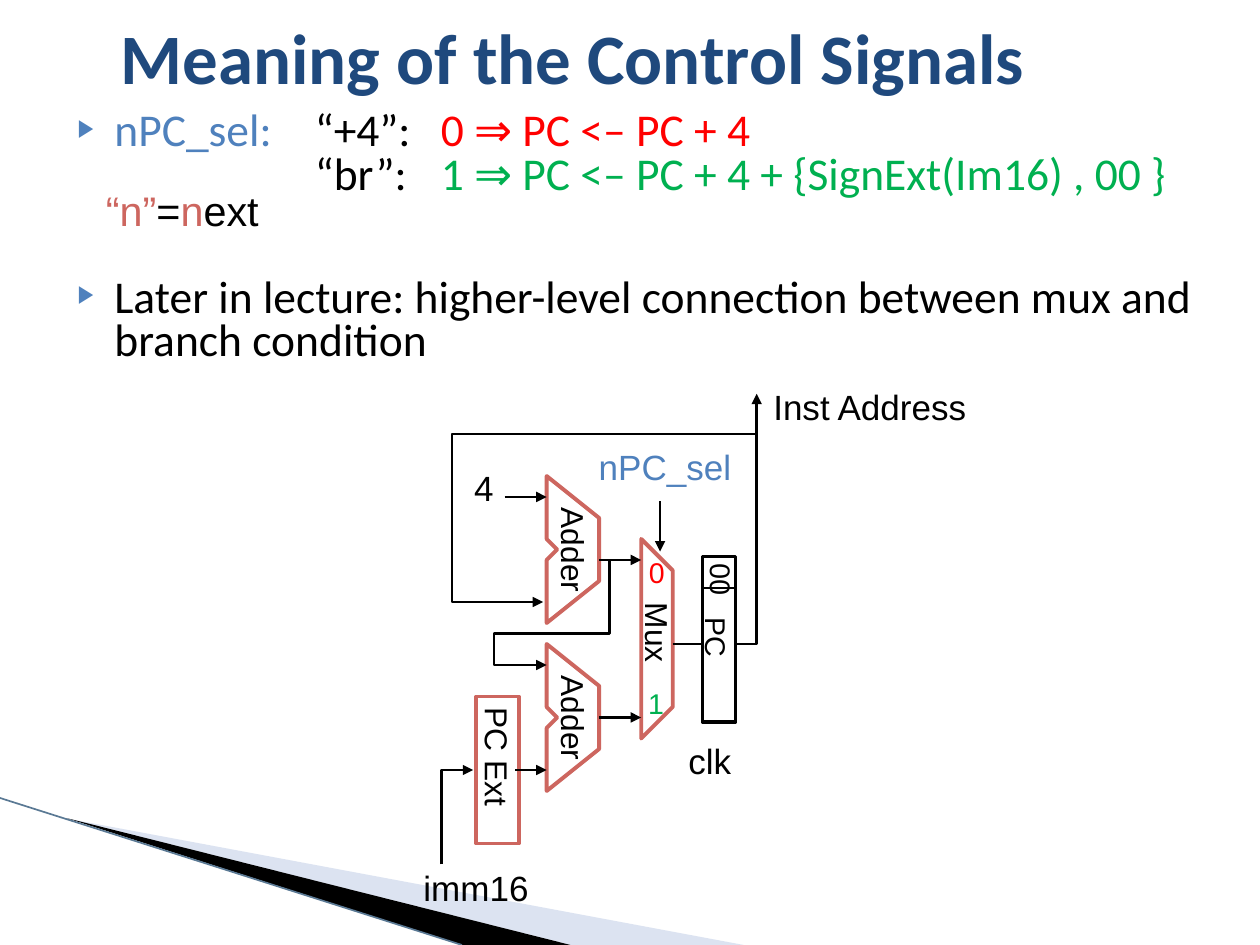
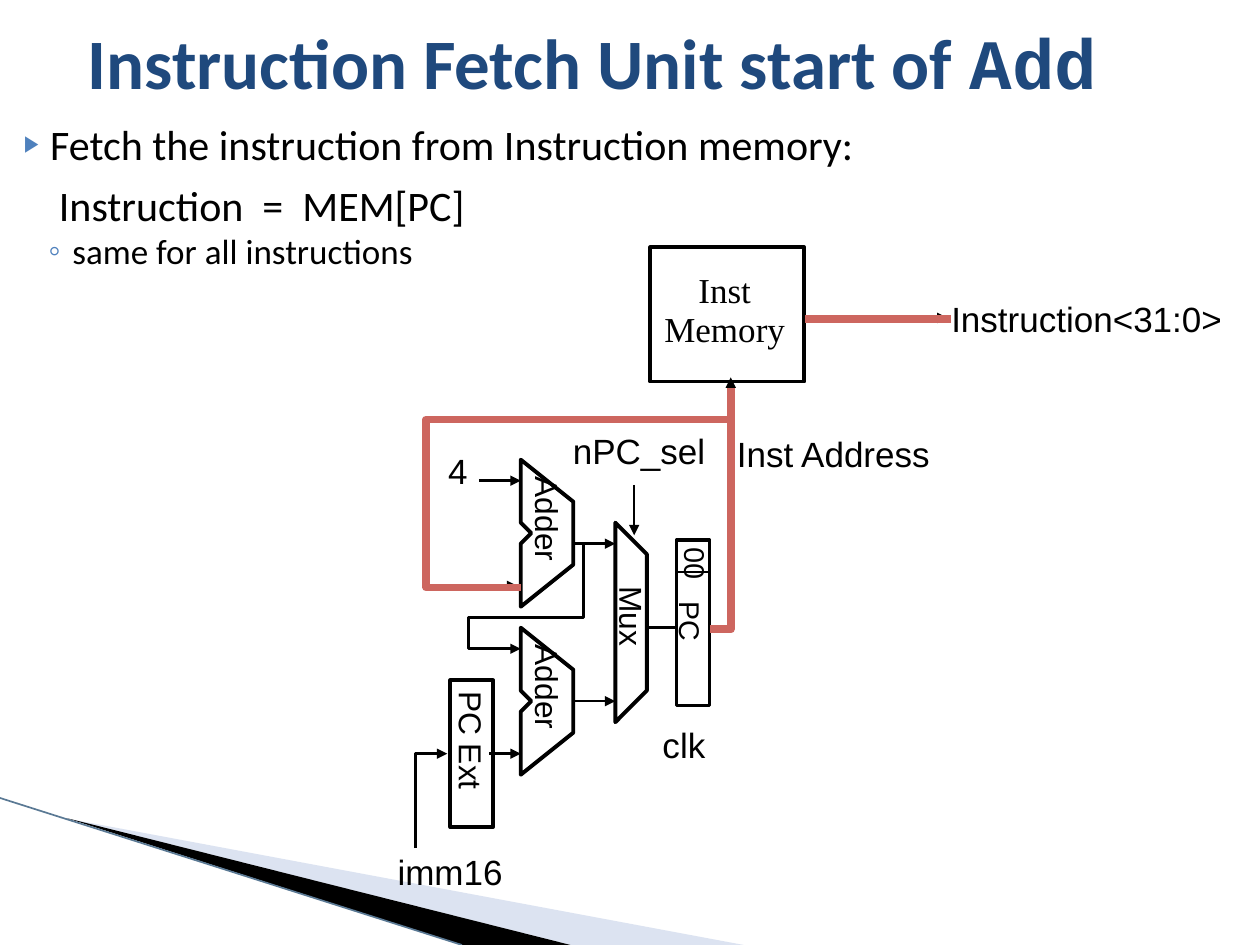
from lxml import etree
from pptx import Presentation
from pptx.dml.color import RGBColor
from pptx.enum import shapes, text
from pptx.oxml import ns
from pptx.util import Pt

BLACK = RGBColor(0x00, 0x00, 0x00)
NAVY = RGBColor(0x1F, 0x49, 0x7D)
BLUE = RGBColor(0x4F, 0x81, 0xBD)
CORAL = RGBColor(0xCD, 0x66, 0x5F)
RED = RGBColor(0xFF, 0x00, 0x00)
GREEN = RGBColor(0x00, 0xB0, 0x50)
PALE_BLUE = RGBColor(0xDC, 0xE3, 0xF1)
SLATE = RGBColor(0x5A, 0x79, 0x94)

LINE_BREAK = None
PAGE = (0, 0)
TAB_STOP = Pt(125.3)


def add_path(slide, origin, points, color=BLACK, width=1.5, arrow=False, closed=False, fill=None):
    """Draw a connector for two points, otherwise an open or closed outline."""
    points = [(Pt(origin[0] + x), Pt(origin[1] + y)) for x, y in points]
    if len(points) == 2:
        shape = slide.shapes.add_connector(shapes.MSO_CONNECTOR.STRAIGHT, *points[0], *points[1])
    else:
        builder = slide.shapes.build_freeform(*points[0])
        builder.add_line_segments(points[1:], close=closed)
        shape = builder.convert_to_shape()
        shape.shadow.inherit = False
        if fill is None:
            shape.fill.background()
        else:
            shape.fill.solid()
            shape.fill.fore_color.rgb = fill
    if color is None:
        shape.line.fill.background()
    else:
        shape.line.color.rgb = color
        shape.line.width = Pt(width)
    properties = shape._element.spPr
    if arrow:
        etree.SubElement(properties.find(ns.qn("a:ln")), ns.qn("a:tailEnd"), type="triangle")
    if len(points) == 2:
        etree.SubElement(properties, ns.qn("a:effectLst"))


def add_label(slide, origin, box, words, size=20, color=BLACK, rotation=0, font="Arial", inset=3):
    """Add unwrapped text; box is left, top, width, height from the origin."""
    left, top, width, height = box
    label = slide.shapes.add_textbox(
        Pt(origin[0] + left), Pt(origin[1] + top), Pt(width), Pt(height))
    label.rotation = rotation
    frame = label.text_frame
    frame.word_wrap = False
    frame.auto_size = text.MSO_AUTO_SIZE.SHAPE_TO_FIT_TEXT
    frame.margin_left = frame.margin_top = frame.margin_bottom = Pt(inset)
    frame.margin_right = 0
    frame.text = words
    for paragraph in frame.paragraphs:
        paragraph.line_spacing = 0.93
        paragraph.font.name = font
        paragraph.font.size = Pt(size)
        paragraph.font.color.rgb = color
    return frame


# Each body paragraph: runs, size, left margin, first-line indent,
# line spacing, space before, bullet, bullet size in percent
SLIDES = [
    {
        "title": [("Meaning of the Control Signals", "Calibri")],
        "title_box": (62, 3.6, 596, 57),
        "body_box": (28.8, 60.5, 678, 196),
        "body": [
            ([("nPC_sel: \t", BLUE), ("“+4”: \t", BLACK), ("0 ⇒ PC <– PC + 4 ", RED), LINE_BREAK,
              ("\t\t“br”: \t", BLACK), ("1 ⇒ PC <– PC + 4 + {SignExt(Im16) , 00 }", GREEN)],
             26, 29.5, -21, 0.8, 10, "▶", 54),
            ([("Later in lecture: higher-level connection between mux and branch condition", BLACK)],
             26, 29.5, -21, 0.8, 45, "▶", 54),
        ],
        "origin": (312.4, 272),
        "unit_color": CORAL,
        "select_color": BLUE,
        "adder_label_top": 29.5,
        "address_label": (126, -53, 118, 29.5),
    },
    {
        "title": [("Instruction Fetch Unit start of ", "Calibri"), ("Add", "Courier New")],
        "title_box": (43, 5, 672, 60.5),
        "body_box": (0, 64, 655, 122),
        "body": [
            ([("Fetch the instruction from Instruction memory:", BLACK)],
             24, 21.6, -15, 1.0, 6.3, "▶", 54),
            ([("Instruction  =  MEM[PC]", BLACK)], 24, 26.6, 0, 1.0, 6.3, None, 100),
            ([("same for all instructions", BLACK)], 20, 34.3, -13.7, 0.75, 5.5, "◦", 100),
        ],
        "origin": (297.6, 262.7),
        "unit_color": BLACK,
        "select_color": BLACK,
        "adder_label_top": 21,
        "address_label": (120, -17, 118, 29.5),
    },
]

# Datapath geometry, measured from the top left corner of the upper adder
ADDER_STEP = 96
ADDER = [(0, 0), (0, 36), (6, 42), (0, 48), (0, 84), (30, 60), (30, 24)]
MUX = [(54, 36), (54, 150), (72, 132), (72, 54)]
WIRES = [
    [(108, 96), (120, 96), (120, -47)],
    [(120, -24), (-54, -24), (-54, 72), (-2, 72)],
    [(-24, 12), (0, 12)],
    [(30, 48), (54, 48)],
    [(36, 48), (36, 90), (-30, 90), (-30, 108), (0, 108)],
    [(-18, 168), (0, 168)],
    [(-60, 222), (-60, 168), (-42, 168)],
    [(30, 138), (54, 138)],
]
LABELS = [
    ((-73.4, 222.5, 66, 28), "imm16", 20, 0),
    ((78, 150, 30, 28), "clk", 20, 0),
    ((82, 80, 28, 24), "PC", 16.3, 90),
    ((87, 47.5, 24, 24), "00", 16.3, 270),
    ((-44.5, -6.5, 16.5, 28), "4", 20, 0),
    ((-60.5, 147.5, 62.6, 26), "PC Ext", 18.1, 90),
    ((42.5, 76.5, 40, 26), "Mux", 18.1, 90),
]

presentation = Presentation()
presentation.slide_width, presentation.slide_height = Pt(720), Pt(540)
pages = []

for content in SLIDES:
    slide = presentation.slides.add_slide(presentation.slide_layouts[6])
    pages.append(slide)
    origin = content["origin"]

    # Corner band
    add_path(slide, PAGE, [(39.5, 468), (425, 540), (326, 540)], None, closed=True, fill=PALE_BLUE)
    add_path(slide, PAGE, [(38, 467.5), (326, 540), (264, 540)], None, closed=True, fill=BLACK)
    add_path(slide, PAGE, [(0, 456), (264, 540)], SLATE, 0.95)

    # Title
    title = slide.shapes.add_textbox(*map(Pt, content["title_box"])).text_frame
    title.word_wrap = True
    title.vertical_anchor = text.MSO_ANCHOR.MIDDLE
    paragraph = title.paragraphs[0]
    paragraph.font.size = Pt(40.5)
    paragraph.font.bold = True
    paragraph.font.color.rgb = NAVY
    for words, font in content["title"]:
        run = paragraph.add_run()
        run.text = words
        run.font.name = font

    # Body
    body = slide.shapes.add_textbox(*map(Pt, content["body_box"])).text_frame
    body.word_wrap = True
    for index, (runs, size, margin, indent, spacing, before, bullet, percent) in enumerate(content["body"]):
        paragraph = body.add_paragraph() if index else body.paragraphs[0]
        paragraph.font.name = "Calibri"
        paragraph.font.size = Pt(size)
        paragraph.line_spacing = spacing
        paragraph.space_before = Pt(before)
        for part in runs:
            if part is LINE_BREAK:
                paragraph.add_line_break()
                continue
            run = paragraph.add_run()
            run.text, run.font.color.rgb = part
        properties = paragraph._p.get_or_add_pPr()
        properties.set("marL", str(Pt(margin)))
        properties.set("indent", str(Pt(indent)))
        if bullet:
            bullet_xml = etree.fromstring(
                f'<a:pPr xmlns:a="{ns.nsuri("a")}"><a:buClr><a:srgbClr val="{BLUE}"/></a:buClr>'
                f'<a:buSzPct val="{percent * 1000}"/><a:buFont typeface="Arial"/><a:buChar char="{bullet}"/>'
                f'<a:tabLst><a:tab pos="{TAB_STOP}" algn="l"/></a:tabLst></a:pPr>')
            default_run = properties.find(ns.qn("a:defRPr"))
            for element in list(bullet_xml):
                default_run.addprevious(element)

    # Registers and extender
    boxes = [
        ((89, 46, 19, 94.5), BLACK, 2),
        ((89, 46, 19, 18), BLACK, 1),
        ((-40.3, 126, 24.5, 84), content["unit_color"], 2),
    ]
    if content is SLIDES[1]:
        boxes.append(((74, -121.5, 88, 77), BLACK, 2))
    for (left, top, width, height), color, weight in boxes:
        box = slide.shapes.add_shape(
            shapes.MSO_SHAPE.RECTANGLE, Pt(origin[0] + left), Pt(origin[1] + top), Pt(width), Pt(height))
        box.shadow.inherit = False
        box.fill.background()
        box.line.color.rgb = color
        box.line.width = Pt(weight)

    # Adders and multiplexer
    for drop in (0, ADDER_STEP):
        add_label(slide, origin, (-13, content["adder_label_top"] + drop, 54.7, 26), "Adder", 18.1, rotation=90)
        add_path(slide, origin, [(x, y + drop) for x, y in ADDER], content["unit_color"], 2.25, closed=True)
    add_path(slide, origin, MUX, content["unit_color"], 2.25, closed=True)

    # Wires and their names
    for wire in WIRES:
        add_path(slide, origin, wire, arrow=True)
    add_path(slide, origin, [(72, 96), (90, 96)])
    add_path(slide, origin, [(64.8, 14.4), (64.8, 43.2)], width=1, arrow=True)
    for box, words, size, rotation in LABELS:
        add_label(slide, origin, box, words, size, rotation=rotation)
    add_label(slide, origin, (26.7, -18, 82, 28), "nPC_sel", color=content["select_color"])
    add_label(slide, origin, content["address_label"], "Inst Address", inset=3.5)

signals_slide, fetch_slide = pages

# Control signals: meaning of "n" and the multiplexer inputs
next_note = add_label(signals_slide, PAGE, (57, 105, 95, 34), "", 23.6, inset=3.5).paragraphs[0]
for words, color in [("“n”", CORAL), ("=", BLACK), ("n", CORAL), ("ext", BLACK)]:
    run = next_note.add_run()
    run.text, run.font.color.rgb = words, color
for box, words, color in [((55, 43.5, 16.6, 26), "0", RED), ((54.5, 118.5, 16.6, 26), "1", GREEN)]:
    add_label(signals_slide, SLIDES[0]["origin"], box, words, 16.3, color, inset=3.5)

# Instruction fetch: memory and the highlighted route
origin = SLIDES[1]["origin"]
add_path(fetch_slide, origin, [(162, -81), (244, -81)], width=2, arrow=True)
for route in (
    [(108, 97), (120, 97), (120, -41)],
    [(120, -23), (-54, -23), (-54, 73), (0, 73)],
    [(162.5, -80.5), (246, -80.5)],
):
    add_path(fetch_slide, origin, route, CORAL, 4.5)
memory = add_label(fetch_slide, origin, (79, -110, 72, 50), "Inst\nMemory", font="Times New Roman")
for paragraph in memory.paragraphs:
    paragraph.alignment = text.PP_ALIGN.CENTER
add_label(fetch_slide, origin, (243, -93.5, 161, 28), "Instruction<31:0>")

presentation.save("out.pptx")
